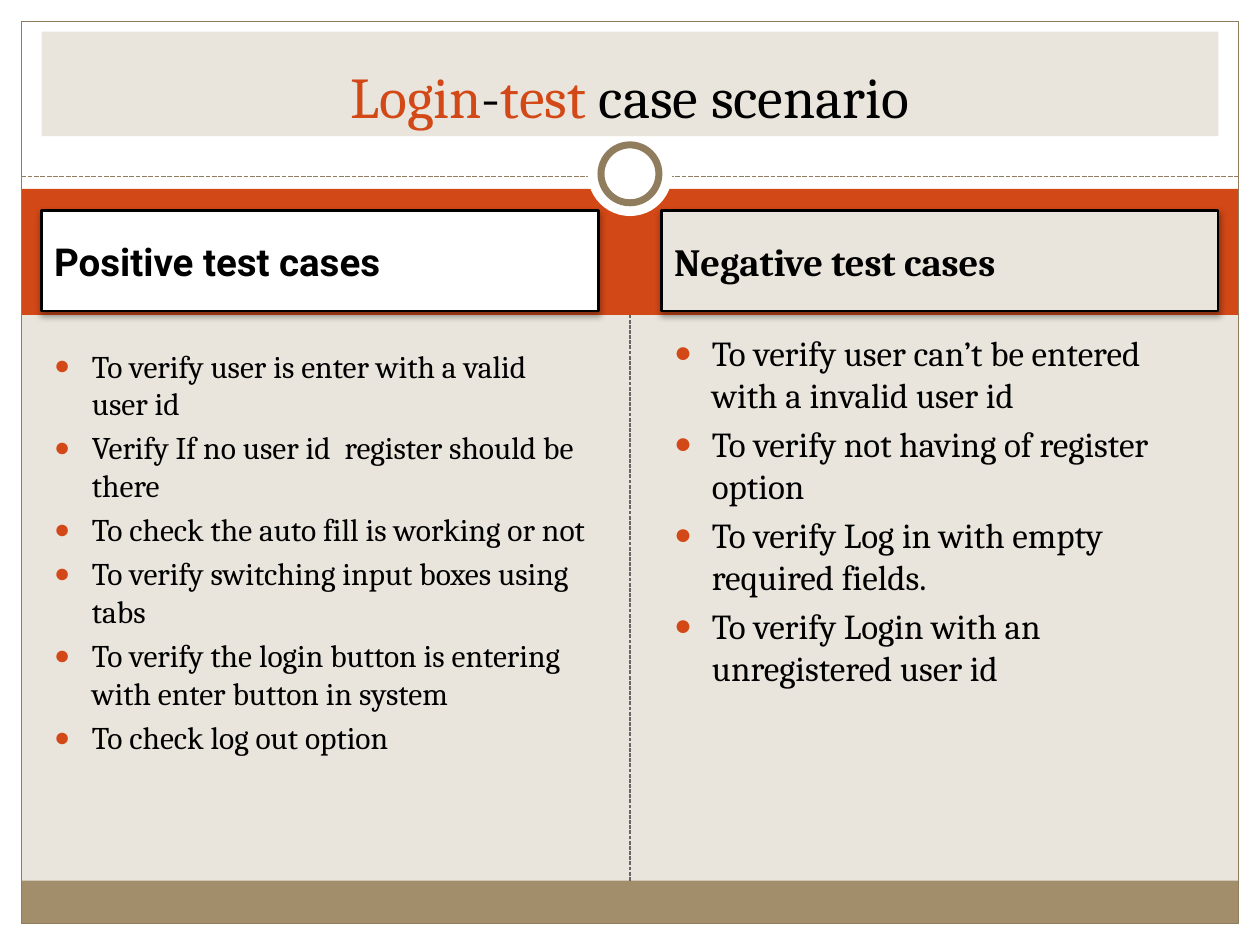
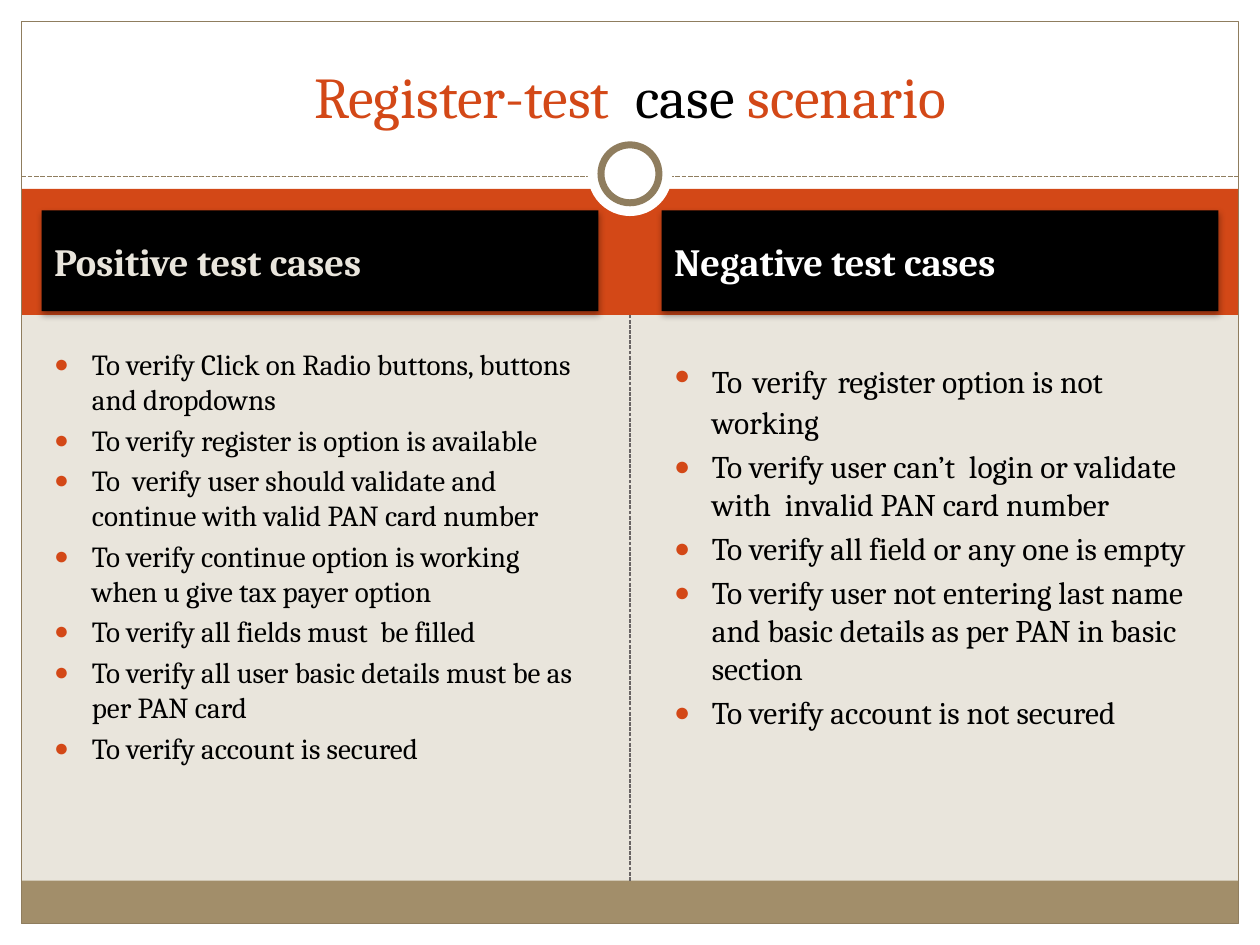
from lxml.etree import SubElement
from pptx import Presentation
from pptx.dml.color import RGBColor
from pptx.enum.dml import MSO_LINE
from pptx.enum.shapes import MSO_CONNECTOR, MSO_SHAPE
from pptx.enum.text import MSO_ANCHOR, MSO_AUTO_SIZE, PP_ALIGN
from pptx.oxml.ns import qn
from pptx.util import Inches, Pt

ORANGE, SAND, BLACK, WHITE = "D34817", "E9E5DC", "000000", "FFFFFF"
TAN, BROWN, GRAY = "A28E6A", "8F7D5E", "696464"
FONT = "Cambria"

SLIDES = [
    dict(
        title=[("Login", ORANGE), ("-", BLACK), ("test", ORANGE), (" case scenario", BLACK)],
        title_fill=SAND,
        border=BLACK,
        columns=[
            dict(head="Positive test cases", fill=WHITE, color=BLACK, font="Roboto",
                 top=2.7, size=18, items=[
                     "To verify user is enter with a valid user id",
                     "Verify If no user id  register should be there",
                     "To check the auto fill is working or not",
                     "To verify switching input boxes using tabs",
                     "To verify the login button is entering with enter button in system",
                     "To check log out option"]),
            dict(head="Negative test cases", fill=SAND, color=BLACK, font=FONT,
                 top=2.58, size=20, items=[
                     "To verify user can’t be entered with a invalid user id",
                     "To verify not having of register option",
                     "To verify Log in with empty required fields.",
                     "To verify Login with an unregistered user id"]),
        ],
    ),
    dict(
        title=[("Register-test ", ORANGE), (" case ", BLACK), ("scenario", ORANGE)],
        title_fill=None,
        border=None,
        columns=[
            dict(head="Positive test cases", fill=BLACK, color=SAND, font=FONT,
                 top=2.7, size=16.6, items=[
                     "To verify Click on Radio buttons, buttons and dropdowns",
                     "To verify register is option is available",
                     "To  verify user should validate and continue with valid PAN card number",
                     "To verify continue option is working when u give tax payer option",
                     "To verify all fields must  be filled",
                     "To verify all user basic details must be as per PAN card",
                     "To verify account is secured"]),
            dict(head="Negative test cases", fill=BLACK, color=WHITE, font=FONT,
                 top=2.7, size=18, items=[
                     [("To", 18), (" ", 27), ("verify", 18), (" ", 27),
                      ("register option is not working", 18)],
                     "To verify user can’t  login or validate with  invalid PAN card number",
                     "To verify all field or any one is empty",
                     "To verify user not entering last name and basic details as per PAN in basic section",
                     "To verify account is not secured"]),
        ],
    ),
]

W, H = 10, 7.5
EDGE = 0.17
INNER = W - 2 * EDGE
MARGIN = 0.33
COL_W = 4.42
COL_X = [MARGIN, W - MARGIN - COL_W]
BODY_BOTTOM = 6.88
FOOT_TOP = 6.99


def rgb(color):
    return RGBColor.from_string(color)


def add_text(p, text, size, color=BLACK, font=FONT, bold=False):
    r = p.add_run()
    r.text = text
    f = r.font
    f.size, f.name, f.bold = Pt(size), font, bold
    f.color.rgb = rgb(color)


def paint(sp, fill=None, line=None, width=0.75):
    if fill:
        sp.fill.solid()
        sp.fill.fore_color.rgb = rgb(fill)
    else:
        sp.fill.background()
    if line:
        sp.line.color.rgb = rgb(line)
        sp.line.width = Pt(width)
    else:
        sp.line.fill.background()


def add_box(s, x, y, w, h, fill=None, line=None, width=0.75, kind=MSO_SHAPE.RECTANGLE):
    sp = s.shapes.add_shape(kind, *map(Inches, (x, y, w, h)))
    sp.shadow.inherit = False
    paint(sp, fill, line, width)
    return sp


def add_circle(s, cx, cy, d, **style):
    return add_box(s, cx - d / 2, cy - d / 2, d, d, kind=MSO_SHAPE.OVAL, **style)


def add_dashes(s, x1, y1, x2, y2, color, width):
    c = s.shapes.add_connector(MSO_CONNECTOR.STRAIGHT, *map(Inches, (x1, y1, x2, y2)))
    c.line.color.rgb = rgb(color)
    c.line.width = Pt(width)
    c.line.dash_style = MSO_LINE.SQUARE_DOT
    SubElement(c._element.spPr, qn("a:effectLst"))
    return c


def add_shadow(sp):
    effects = SubElement(sp._element.spPr, qn("a:effectLst"))
    shadow = SubElement(effects, qn("a:outerShdw"), blurRad=str(Pt(4)), dist=str(Pt(2)),
                        dir="5400000", rotWithShape="0")
    color = SubElement(shadow, qn("a:srgbClr"), val=BLACK)
    SubElement(color, qn("a:alpha"), val="35000")


def add_bullet(p):
    pPr = p._p.get_or_add_pPr()
    pPr.set("marL", str(Inches(0.3)))
    pPr.set("indent", str(-Inches(0.3)))
    SubElement(SubElement(pPr, qn("a:buClr")), qn("a:srgbClr"), val=ORANGE)
    SubElement(pPr, qn("a:buSzPct"), val="85000")
    SubElement(pPr, qn("a:buChar"), char="●")


def place(ph, x, y, w, h, anchor):
    ph.left, ph.top, ph.width, ph.height = map(Inches, (x, y, w, h))
    tf = ph.text_frame
    tf.word_wrap = True
    tf.auto_size = MSO_AUTO_SIZE.NONE
    tf.vertical_anchor = anchor
    return tf


def draw_frame(s):
    s.background.fill.solid()
    s.background.fill.fore_color.rgb = rgb(SAND)
    add_box(s, 0, 0, W, 1.58, WHITE)
    add_box(s, 0, H - EDGE, W, EDGE, WHITE)
    for x in (0, W - EDGE):
        add_box(s, x, 0, EDGE, H, WHITE)
    band = add_box(s, EDGE, 1.5, INNER, 1, ORANGE)
    foot = add_box(s, EDGE, FOOT_TOP, INNER, H - EDGE - FOOT_TOP, TAN)
    divider = add_dashes(s, W / 2, FOOT_TOP, W / 2, 2.5, GRAY, 0.75)
    divider.begin_connect(foot, 0)
    divider.end_connect(band, 2)
    add_dashes(s, EDGE, 1.4, W - EDGE, 1.4, BROWN, 0.9)
    add_box(s, EDGE, EDGE, INNER, H - 2 * EDGE, line=BROWN)
    add_circle(s, W / 2, 1.38, 0.67, fill=WHITE)
    add_circle(s, W / 2, 1.38, 0.46, fill=WHITE, line=BROWN, width=4)


def fill_column(head, body, x, col, border):
    tf = place(head, x, 1.67, COL_W, 0.8, MSO_ANCHOR.MIDDLE)
    paint(head, col["fill"], border, 1.25)
    add_shadow(head)
    add_text(tf.paragraphs[0], col["head"], 22, col["color"], col["font"], bold=True)
    tf = place(body, x, col["top"], COL_W, BODY_BOTTOM - col["top"], MSO_ANCHOR.TOP)
    for i, item in enumerate(col["items"]):
        p = tf.add_paragraph() if i else tf.paragraphs[0]
        add_bullet(p)
        for text, size in [(item, col["size"])] if isinstance(item, str) else item:
            add_text(p, text, size)


def build_slide(prs, content):
    s = prs.slides.add_slide(prs.slide_layouts[4])
    title, *parts = list(s.placeholders)
    draw_frame(s)
    for ph in (*parts, title):
        s.shapes._spTree.append(ph._element)
    for i, col in enumerate(content["columns"]):
        fill_column(*parts[2 * i:2 * i + 2], COL_X[i], col, content["border"])
    tf = place(title, MARGIN, 0.25, W - 2 * MARGIN, 0.83, MSO_ANCHOR.BOTTOM)
    paint(title, content["title_fill"])
    p = tf.paragraphs[0]
    p.alignment = PP_ALIGN.CENTER
    for text, color in content["title"]:
        add_text(p, text, 33, color)


def main():
    prs = Presentation()
    prs.slide_width, prs.slide_height = Inches(W), Inches(H)
    for content in SLIDES:
        build_slide(prs, content)
    prs.save("out.pptx")


if __name__ == "__main__":
    main()
